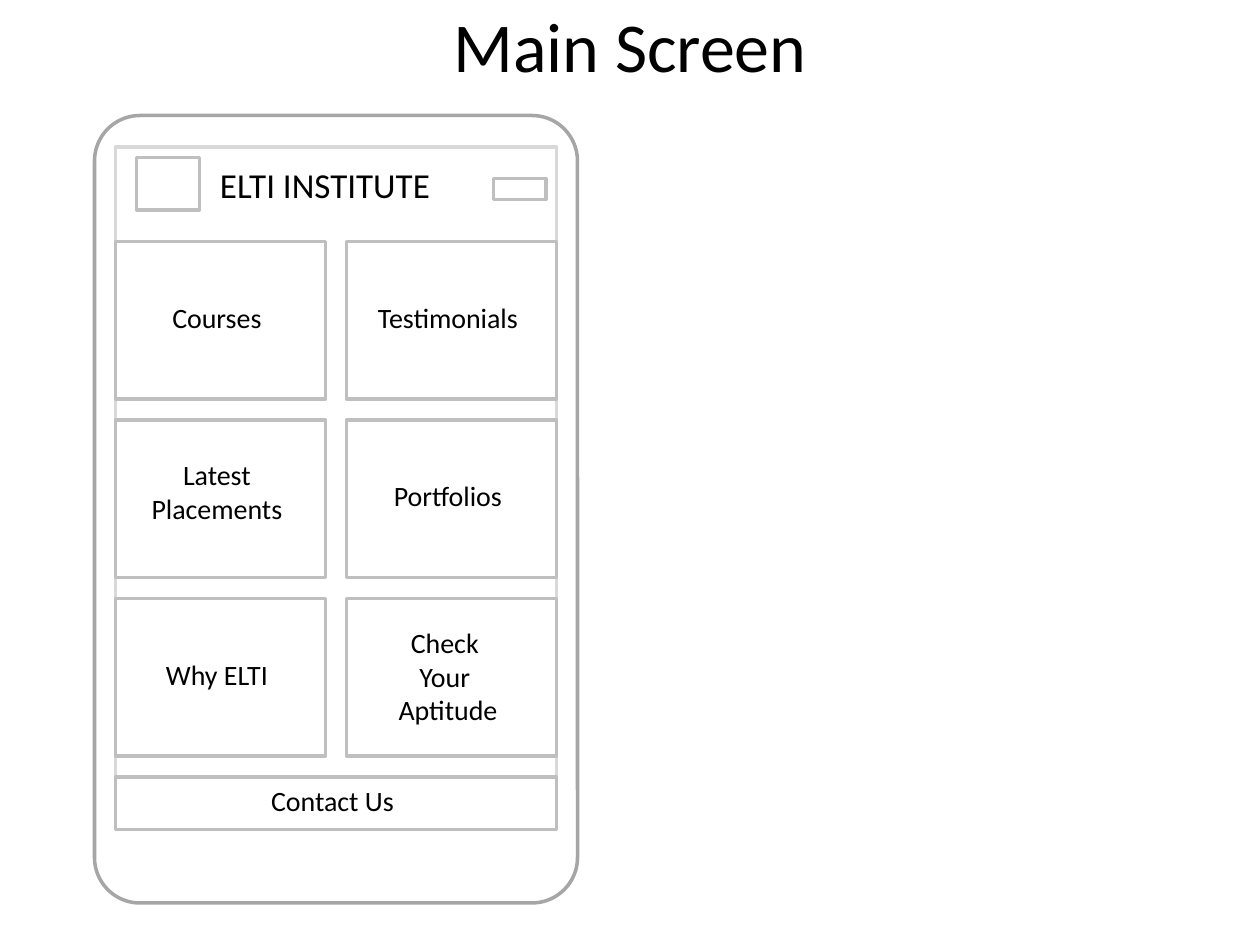
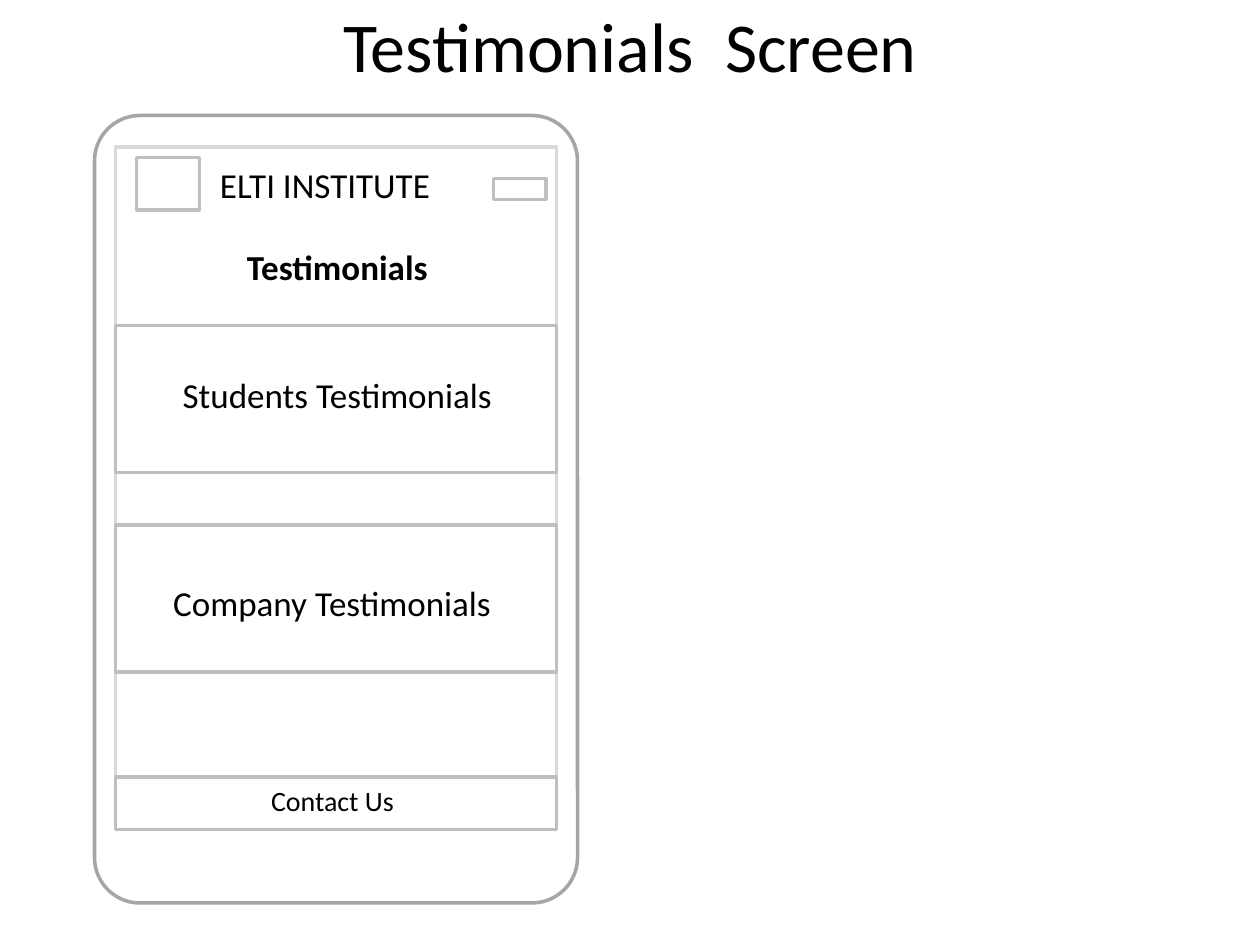
from pptx import Presentation
from pptx.dml.color import RGBColor as RGB
from pptx.enum.shapes import MSO_SHAPE as Shape
from pptx.enum.text import MSO_ANCHOR as Anchor, MSO_AUTO_SIZE as Fit, PP_ALIGN as Align
from pptx.util import Pt

# Theme
THEME = {
    "font": "Calibri", "text": RGB(0, 0, 0), "background": RGB(255, 255, 255),
    "body": RGB(0xA6, 0xA6, 0xA6), "screen": RGB(0xD9, 0xD9, 0xD9),
    "box": RGB(0xBF, 0xBF, 0xBF), "line": Pt(2),
    "title": Pt(40), "heading": Pt(20), "label": Pt(16),
}

# Grid of the phone, in points
LEFT, WIDTH = 66, 252
CARD_W, CARD_H, GAP = 120, 90, 12
CARDS_TOP = 138
LABEL_W, LABEL_H, HEADING_H = 116, 26.6, 31.5


def outline(s, x, y, w, h, color="box", kind=Shape.RECTANGLE):
    """Add an unfilled frame."""
    sp = s.shapes.add_shape(kind, Pt(x), Pt(y), Pt(w), Pt(h))
    sp.shadow.inherit = False
    sp.fill.background()
    sp.line.color.rgb = THEME[color]
    sp.line.width = THEME["line"]
    return sp


def write(sp, text, size, bold=False):
    """Fill a text frame with centred lines."""
    tf = sp.text_frame
    tf.text = text
    for p in tf.paragraphs:
        p.alignment = Align.CENTER
        for r in p.runs:
            r.font.color.rgb = THEME["text"]
            style = {"name": THEME["font"], "size": THEME[size], "bold": bold}
            for name, value in style.items():
                setattr(r.font, name, value)
    return tf


# Card rows: label and its distance from the top of the card
main_cards = [
    [("Courses", 30), ("Testimonials", 30)],
    [("Latest\nPlacements", 18), ("Portfolios", 30)],
    [("Why ELTI", 30), ("Check \nYour \nAptitude", 12)],
]
# Panels: label, label left, label top, label width, panel top
panels = [
    ("Students Testimonials ", 78, 210, 234, 186),
    ("Company Testimonials ", 72, 328.5, 240, 300),
]

prs = Presentation()
prs.slide_width, prs.slide_height = Pt(720), Pt(540)

for title in ("Main Screen", "Testimonials  Screen"):
    s = prs.slides.add_slide(prs.slide_layouts[5])
    s.background.fill.solid()
    s.background.fill.fore_color.rgb = THEME["background"]

    # Title
    sp = s.shapes.title
    frame = {"left": 36, "top": 6, "width": 648, "height": 38.5}
    for name, value in frame.items():
        setattr(sp, name, Pt(value))
    tf = write(sp, title, "title")
    tf.vertical_anchor = Anchor.MIDDLE
    tf.auto_size = Fit.NONE

    # Phone body and screen
    phone = outline(s, 54, 66, 276, 450, "body", Shape.ROUNDED_RECTANGLE)
    phone.adjustments[0] = 26 / 276
    outline(s, LEFT, 84, WIDTH, 390, "screen")

    # Logo frame, menu button and contact bar
    outline(s, 78, 90, 36, 30)
    outline(s, 282, 102, 30, 12)
    outline(s, LEFT, 444, WIDTH, 30)

    # Labels: text, left, top, width, height, size, bold
    labels = [
        ("ELTI INSTITUTE", 113, 90, 145.5, HEADING_H, "heading", False),
        ("Contact Us", 132, 444, LABEL_W, LABEL_H, "label", False),
    ]

    if title == "Main Screen":
        # Grid of cards
        for row, cards in enumerate(main_cards):
            for col, (text, drop) in enumerate(cards):
                x = LEFT + col * (CARD_W + GAP)
                y = CARDS_TOP + row * (CARD_H + GAP)
                outline(s, x, y, CARD_W, CARD_H)
                height = LABEL_H + 19.4 * text.count("\n")
                labels.append((text, x, y + drop, LABEL_W, height, "label", False))
    else:
        # Heading and stacked panels
        labels.append(("Testimonials ", 78, 137, 234, HEADING_H, "heading", True))
        for text, x, y, w, top in panels:
            outline(s, LEFT, top, WIDTH, 84)
            labels.append((text, x, y, w, HEADING_H, "heading", False))

    # Text over the frames
    for text, x, y, w, h, size, bold in labels:
        sp = s.shapes.add_textbox(Pt(x), Pt(y), Pt(w), Pt(h))
        tf = write(sp, text, size, bold)
        tf.word_wrap = True
        tf.auto_size = Fit.SHAPE_TO_FIT_TEXT

prs.save("out.pptx")
